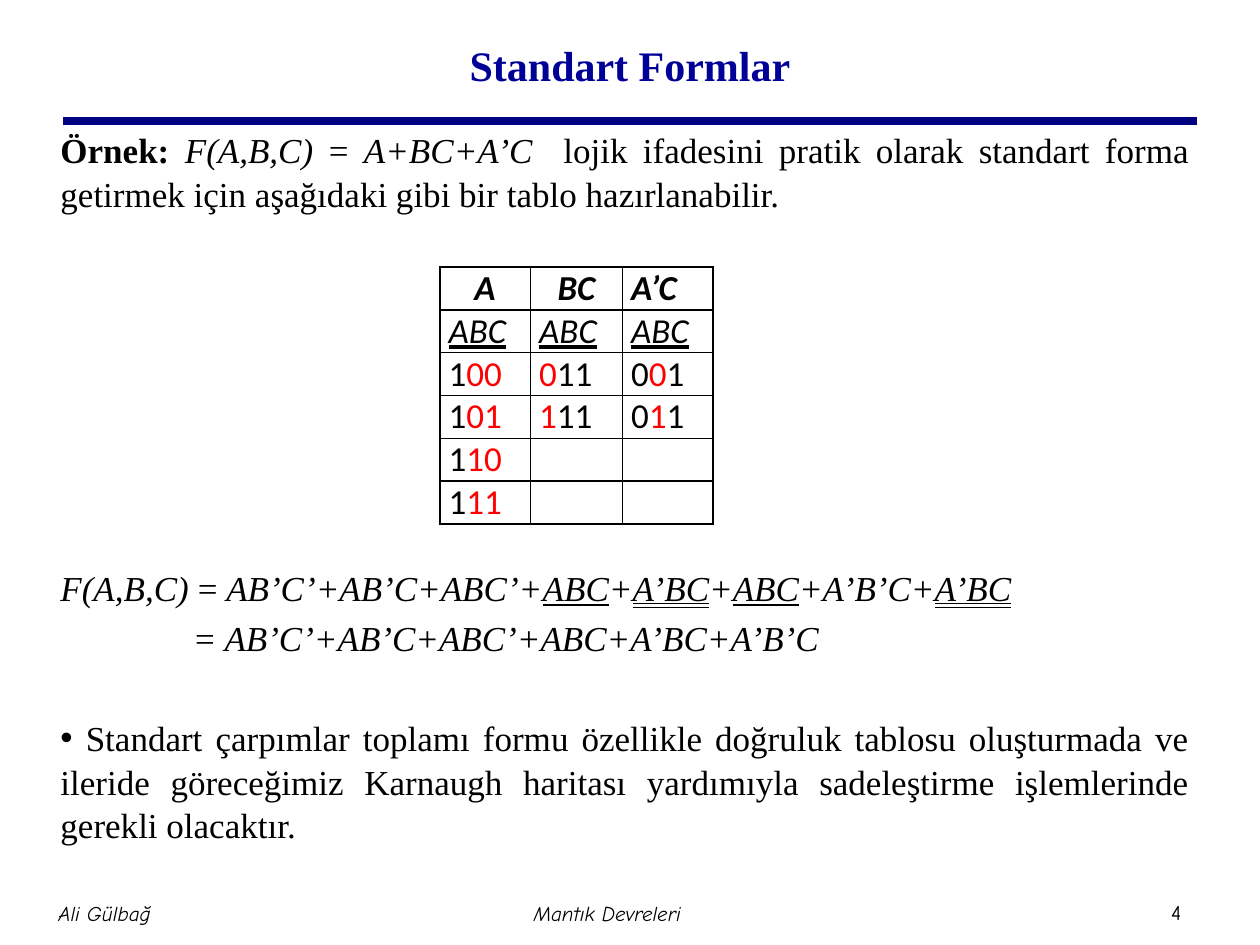
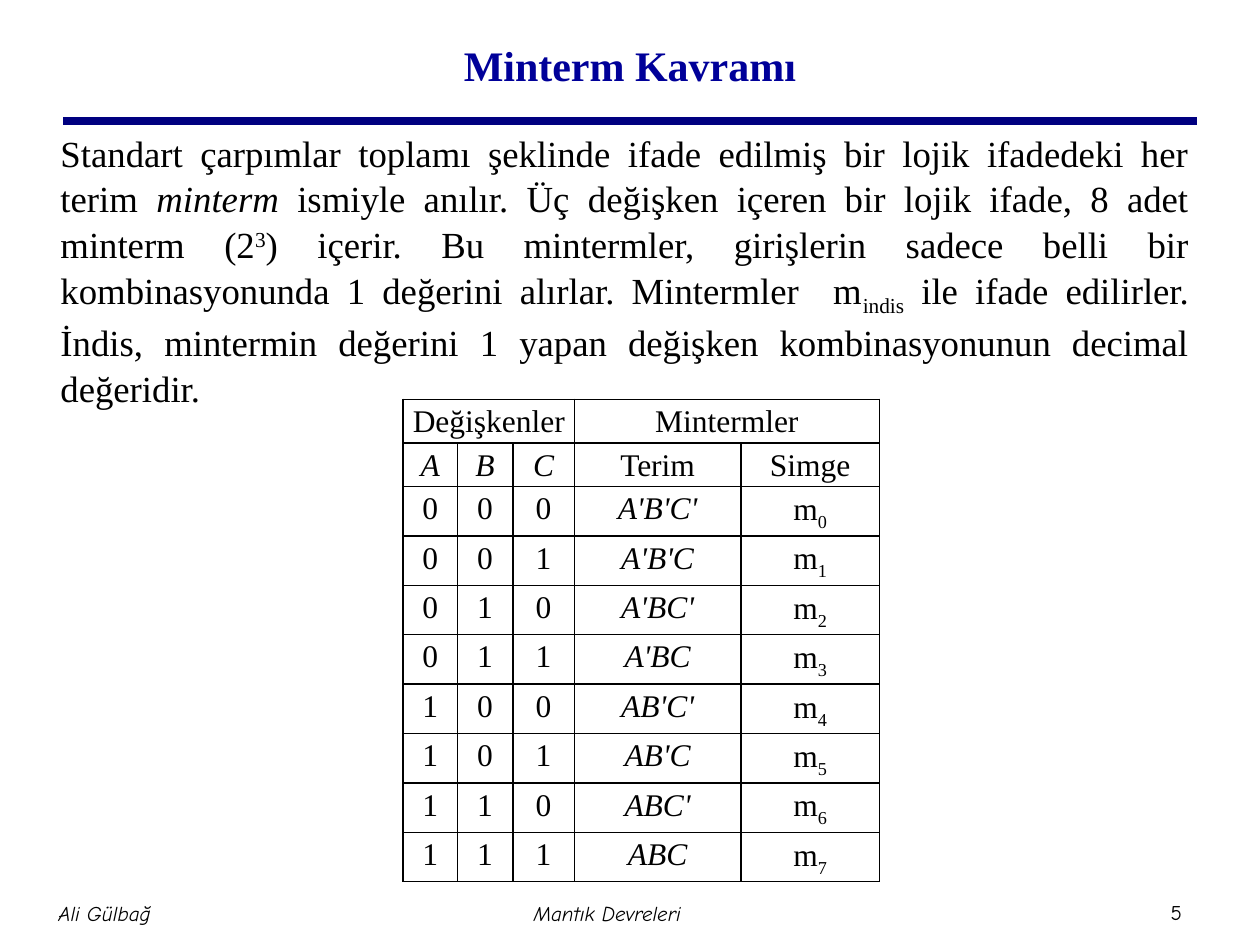
from dataclasses import dataclass

import pptx
import pptx.dml.color
import pptx.enum.shapes
import pptx.enum.text
import pptx.oxml
import pptx.oxml.ns
import pptx.util
from lxml import etree

ALIGN = pptx.enum.text.PP_ALIGN
MIDDLE = pptx.enum.text.MSO_ANCHOR.MIDDLE
UNDERLINE = pptx.enum.text.MSO_UNDERLINE
COLUMNS, ROWS = 100, 75
WIDTH, HEIGHT = pptx.util.Inches(10), pptx.util.Inches(7.5)


@dataclass(frozen=True)
class Theme:
    ink: str = "000000"
    title: str = "000099"
    rule: str = "000080"
    accent: str = "FF0000"
    serif: str = "Times New Roman"
    sans: str = "Calibri"
    hand: str = "Comic Neue"
    title_size: int = 24
    formula_size: int = 20
    prose_size: int = 21
    minterm_size: int = 18
    footer_size: int = 12
    rule_width: float = 4.5
    border_width: float = 1
    line_spacing: float = 1.04


THEME = Theme()


def across(columns):
    return round(WIDTH * columns / COLUMNS)


def down(rows):
    return round(HEIGHT * rows / ROWS)


def box(left, top, width, height):
    return across(left), down(top), across(width), down(height)


def rgb(value):
    return pptx.dml.color.RGBColor.from_string(value)


def set_font(font, face, size, color=THEME.ink, bold=None, italic=None):
    font.name, font.size = face, pptx.util.Pt(size)
    font.color.rgb = rgb(color)
    font.bold, font.italic = bold, italic


def write(paragraph, pieces):
    """Style letters: b bold, i italic, u/d single/double underline, r red, ^ and _ raised and lowered."""
    for text, style in pieces:
        run = paragraph.add_run()
        run.text = text
        if "b" in style:
            run.font.bold = True
        if "i" in style:
            run.font.italic = True
        if "u" in style:
            run.font.underline = UNDERLINE.SINGLE_LINE
        if "d" in style:
            run.font.underline = UNDERLINE.DOUBLE_LINE
        if "r" in style:
            run.font.color.rgb = rgb(THEME.accent)
        for mark, baseline in (("^", "30000"), ("_", "-25000")):
            if mark in style:
                run.font._element.set("baseline", baseline)


def set_bullet(paragraph, indent=0, bullet=None):
    properties = paragraph._p.get_or_add_pPr()
    properties.set("marL", str(across(indent)))
    properties.set("indent", "0")
    tag = "a:buChar" if bullet else "a:buNone"
    mark = pptx.oxml.parse_xml(f"<{tag} {pptx.oxml.ns.nsdecls('a')}/>")
    if bullet:
        mark.set("char", bullet)
    properties.append(mark)


def place(placeholder, area):
    placeholder.left, placeholder.top, placeholder.width, placeholder.height = area
    placeholder.text_frame.auto_size = pptx.enum.text.MSO_AUTO_SIZE.NONE
    return placeholder.text_frame


def add_title(slide, title):
    frame = place(slide.shapes.title, box(7.5, 0.8, 85, 8.6))
    frame.vertical_anchor = MIDDLE
    frame.text = title
    heading = frame.paragraphs[0]
    heading.alignment = ALIGN.CENTER
    set_font(heading.font, THEME.serif, THEME.title_size, THEME.title, bold=True)


def add_body(slide, top, size, paragraphs):
    frame = place(slide.placeholders[1], box(3.8, top, 91.6, 55.5))
    for index, (pieces, options) in enumerate(paragraphs):
        paragraph = frame.add_paragraph() if index else frame.paragraphs[0]
        paragraph.alignment = options.get("align", ALIGN.JUSTIFY)
        paragraph.line_spacing = THEME.line_spacing
        paragraph.space_before = pptx.util.Pt(options.get("before", 4))
        set_bullet(paragraph, options.get("indent", 0), options.get("bullet"))
        set_font(paragraph.font, THEME.serif, size)
        write(paragraph, pieces)


def add_footer(slide, text, area, italic=True):
    frame = slide.shapes.add_textbox(*box(*area)).text_frame
    frame.word_wrap = True
    frame.vertical_anchor = MIDDLE
    frame.margin_left = frame.margin_right = across(0.5)
    frame.margin_top = frame.margin_bottom = down(0.5)
    frame.text = text
    paragraph = frame.paragraphs[0]
    paragraph.alignment = ALIGN.CENTER
    set_font(paragraph.font, THEME.hand, THEME.footer_size, italic=italic)


def add_rule(slide):
    rule = slide.shapes.add_connector(
        pptx.enum.shapes.MSO_CONNECTOR.STRAIGHT,
        across(5), down(9.6), across(95), down(9.6))
    rule.line.color.rgb = rgb(THEME.rule)
    rule.line.width = pptx.util.Pt(THEME.rule_width)
    etree.SubElement(rule._element.spPr, pptx.oxml.ns.qn("a:effectLst"))


def start_slide(deck, number, title):
    slide = deck.slides.add_slide(deck.slide_layouts[1])
    add_rule(slide)
    add_title(slide, title)
    add_footer(slide, "Ali Gülbağ", (0, 70, 16.6, 5))
    add_footer(slide, "Mantık Devreleri", (30.3, 70, 35.8, 5))
    add_footer(slide, str(number), (91, 70.9, 4.7, 3), italic=False)
    return slide


def outline(cell):
    properties = cell._tc.get_or_add_tcPr()
    width = pptx.util.Pt(THEME.border_width)
    for side in "LRTB":
        properties.append(pptx.oxml.parse_xml(
            f'<a:ln{side} {pptx.oxml.ns.nsdecls("a")} w="{width}"><a:solidFill>'
            f'<a:srgbClr val="{THEME.ink}"/></a:solidFill></a:ln{side}>'))
    cell.fill.background()


def add_grid(slide, left, top, widths, heights, margin):
    area = box(left, top, sum(widths), sum(heights))
    table = slide.shapes.add_table(len(heights), len(widths), *area).table
    table.first_row = table.horz_banding = False
    for column, width in zip(table.columns, widths):
        column.width = across(width)
    for row, height in zip(table.rows, heights):
        row.height = down(height)
    for cell in table.iter_cells():
        cell.margin_left = cell.margin_right = across(margin)
        cell.margin_top = cell.margin_bottom = 0
        outline(cell)
    return table


def fill_cell(cell, pieces, face, size, align):
    paragraph = cell.text_frame.paragraphs[0]
    paragraph.alignment = align
    set_font(paragraph.font, face, size)
    write(paragraph, pieces)
    return paragraph


def add_expansion_table(slide):
    products = [
        ("A", ALIGN.CENTER, (0,), ("100", "101", "110", "111")),
        ("BC", ALIGN.CENTER, (1, 2), ("011", "111")),
        ("A’C", ALIGN.JUSTIFY, (0, 2), ("001", "011")),
    ]
    table = add_grid(slide, 34.9, 21.2, [7.2, 7.3, 7.2], [3.4] * 6, 0.7)
    for column, (product, align, fixed, codes) in enumerate(products):
        lines = [[(product, "bi")], [("ABC", "iu")]]
        lines += [[(digit, "" if place in fixed else "r")
                   for place, digit in enumerate(code)] for code in codes]
        lines += [[]] * (6 - len(lines))
        for row, pieces in enumerate(lines):
            fill_cell(table.cell(row, column), pieces, THEME.sans,
                      THEME.formula_size, ALIGN.JUSTIFY if row else align)


def add_minterm_table(slide):
    table = add_grid(slide, 32, 31.7, [4.3, 4.4, 4.9, 13.2, 11],
                     [3.1] * 2 + [3.6] * 8, 0.5)
    table.cell(0, 0).merge(table.cell(0, 2))
    table.cell(0, 3).merge(table.cell(0, 4))
    lines = [
        [[("Değişkenler", "")], [], [], [("Mintermler", "")], []],
        [[(name, "i")] for name in "ABC"] + [[("Terim", "")], [("Simge", "")]],
    ]
    for index in range(8):
        bits = f"{index:03b}"
        term = "".join(name if bit == "1" else name + "'"
                       for name, bit in zip("ABC", bits))
        lines.append([[(bit, "")] for bit in bits]
                     + [[(term, "i")], [("m", ""), (str(index), "_")]])
    for row, line in enumerate(lines):
        for column, pieces in enumerate(line):
            if pieces:
                paragraph = fill_cell(table.cell(row, column), pieces, THEME.serif,
                                      THEME.minterm_size, ALIGN.CENTER)
                paragraph.line_spacing = 1.15
                paragraph.space_before = pptx.util.Pt(6)


def build_standard_forms(deck):
    slide = start_slide(deck, 4, "Standart Formlar")
    example = [
        ("Örnek: ", "b"), ("F(A,B,C) ", "i"), ("= ", ""), ("A+BC+A’C  ", "i"),
        ("lojik ifadesini pratik olarak standart forma getirmek için "
         "aşağıdaki gibi bir tablo hazırlanabilir.", ""),
    ]
    expansion = [
        ("F(A,B,C) ", "i"), ("= ", ""), ("AB’C’+AB’C+ABC’+", "i"), ("ABC", "iu"),
        ("+", "i"), ("A’BC", "id"), ("+", "i"), ("ABC", "iu"),
        ("+A’B’C+", "i"), ("A’BC", "id"),
    ]
    simplified = [("= AB’C’+AB’C+ABC’+ABC+A’BC+A’B’C", "i")]
    remark = [(" Standart çarpımlar toplamı formu özellikle doğruluk tablosu "
               "oluşturmada ve ileride göreceğimiz Karnaugh haritası yardımıyla "
               "sadeleştirme işlemlerinde gerekli olacaktır.", "")]
    add_body(slide, 9.6, THEME.formula_size, [
        (example, {}),
        (expansion, {"align": ALIGN.LEFT, "before": 200}),
        (simplified, {"align": ALIGN.LEFT, "indent": 10.5}),
        (remark, {"before": 32, "bullet": "•"}),
    ])
    add_expansion_table(slide)


def build_minterms(deck):
    slide = start_slide(deck, 5, "Minterm Kavramı")
    definition = [
        ("Standart çarpımlar toplamı şeklinde ifade edilmiş bir lojik "
         "ifadedeki her terim ", ""),
        ("minterm", "i"),
        (" ismiyle anılır. Üç değişken içeren bir lojik ifade, 8 adet minterm (2", ""),
        ("3", "^"),
        (") içerir. Bu mintermler, girişlerin sadece belli bir kombinasyonunda "
         "1 değerini alırlar. Mintermler  m", ""),
        ("indis", "_"),
        (" ile ifade edilirler. İndis, mintermin değerini 1 yapan değişken "
         "kombinasyonunun decimal değeridir.", ""),
    ]
    add_body(slide, 9.7, THEME.prose_size, [(definition, {})])
    add_minterm_table(slide)


def main():
    deck = pptx.Presentation()
    deck.slide_width, deck.slide_height = WIDTH, HEIGHT
    build_standard_forms(deck)
    build_minterms(deck)
    deck.save("out.pptx")


main()
